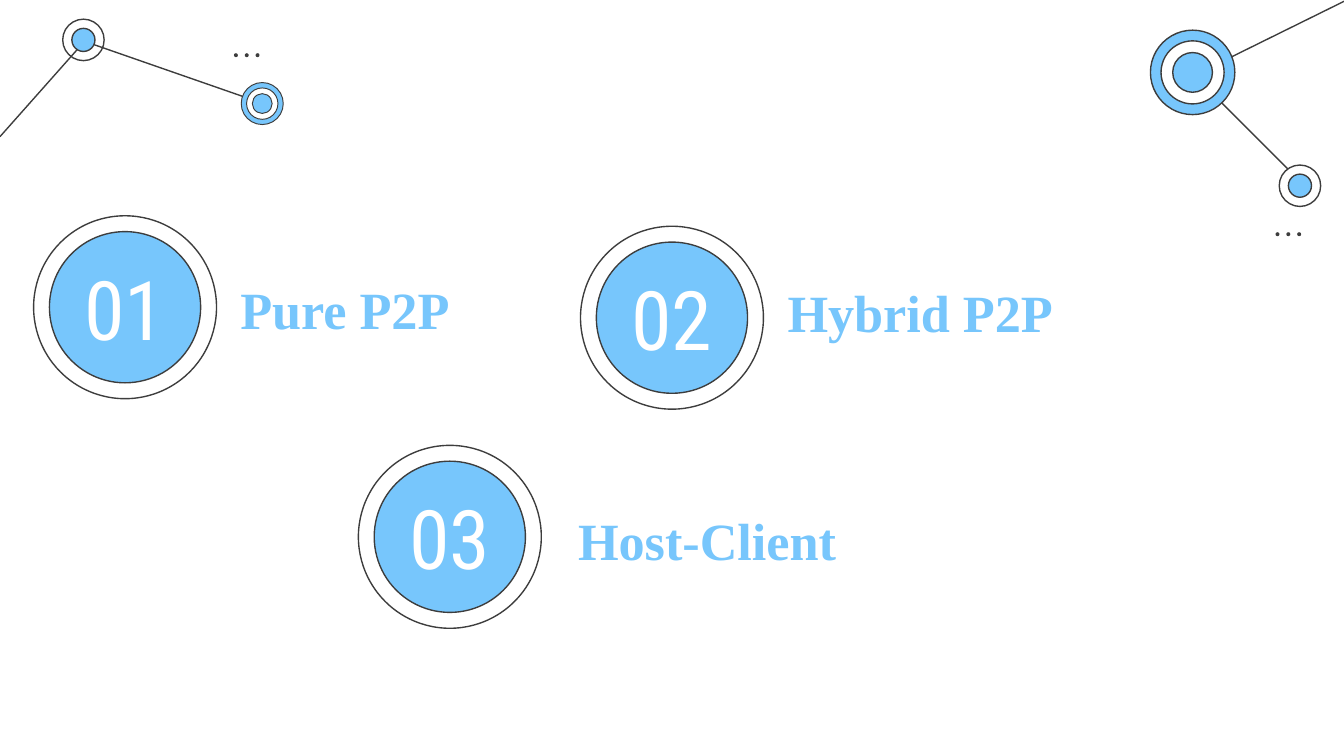
from lxml.etree import SubElement
from pptx import Presentation
from pptx.dml.color import RGBColor
from pptx.enum.shapes import MSO_CONNECTOR, MSO_SHAPE
from pptx.enum.text import MSO_ANCHOR, PP_ALIGN
from pptx.oxml.ns import qn
from pptx.util import Pt

COLORS = {"blue": "77C6FC", "dark": "3D3D3D", "white": "FFFFFF"}

prs = Presentation()
prs.slide_width, prs.slide_height = Pt(720), Pt(405)
s = prs.slides.add_slide(prs.slide_layouts[6])


def add_circle(cx, cy, d, fill, width=0.75):
    """Add a circle around a centre; no fill or no outline if None."""
    sp = s.shapes.add_shape(MSO_SHAPE.OVAL, Pt(cx - d / 2), Pt(cy - d / 2), Pt(d), Pt(d))
    sp.shadow.inherit = False
    if fill:
        sp.fill.solid()
        sp.fill.fore_color.rgb = RGBColor.from_string(COLORS[fill])
    else:
        sp.fill.background()
    if width:
        sp.line.width = Pt(width)
        sp.line.color.rgb = RGBColor.from_string(COLORS["dark"])
    else:
        sp.line.fill.background()


def add_text(x, y, w, h, text, font, size, color, bold=False):
    tf = s.shapes.add_textbox(Pt(x), Pt(y), Pt(w), Pt(h)).text_frame
    tf.word_wrap = True
    tf.margin_left = tf.margin_right = tf.margin_top = tf.margin_bottom = Pt(7.2)
    r = tf.paragraphs[0].add_run()
    r.text = text
    r.font.name, r.font.size, r.font.bold = font, Pt(size), bold
    r.font.color.rgb = RGBColor.from_string(COLORS[color])
    return tf


# Corner networks: links below, then nodes and dots
links = [
    (696.4, 97, 638.9, 39.5),
    (46, 22.4, 140.8, 55.4),
    (0, 73.2, 46, 21.4),
    (720.5, 0.5, 641.5, 39.5),
]
for x1, y1, x2, y2 in links:
    line = s.shapes.add_connector(MSO_CONNECTOR.STRAIGHT, Pt(x1), Pt(y1), Pt(x2), Pt(y2))
    line.line.width = Pt(0.75)
    line.line.color.rgb = RGBColor.from_string(COLORS["dark"])
    SubElement(line._element.spPr, qn("a:effectLst"))

nodes = [
    (44.7, 21.4, 0.75, [(22.2, None), (12.4, "blue")]),
    (140.5, 55.5, 0.5, [(22.5, "blue"), (16.8, "white"), (10.6, "blue")]),
    (638.9, 38.8, 0.75, [(45.2, "blue"), (33.8, "white"), (21.3, "blue")]),
    (696.4, 99.5, 0.75, [(22.2, "white"), (12.4, "blue")]),
]
for cx, cy, width, rings in nodes:
    for d, fill in rings:
        add_circle(cx, cy, d, fill, width)

for x, y in [(126.4, 29.6), (684.4, 125.5)]:
    for i in range(3):
        add_circle(x + i * 5.8, y, 2.1, "dark", None)

# Numbered network types: circle centre, then label box
items = [
    ("01", 67, 164.6, "Pure P2P", 121.7, 141.1, 153.4),
    ("02", 360, 170.2, "Hybrid P2P", 414.8, 142.9, 183.6),
    ("03", 241, 287.6, "Host-Client", 302.6, 265, 153.4),
]
for number, cx, cy, label, x, y, w in items:
    add_circle(cx, cy, 98, "white")
    add_circle(cx, cy, 81, "blue")
    tf = add_text(cx - 34.5, cy - 21, 69, 42, number, "Roboto Condensed", 44, "white")
    tf.vertical_anchor = MSO_ANCHOR.MIDDLE
    tf.paragraphs[0].alignment = PP_ALIGN.CENTER
    add_text(x, y, w, 29.5, label, "Times New Roman", 28, "blue", True)

prs.save("out.pptx")
